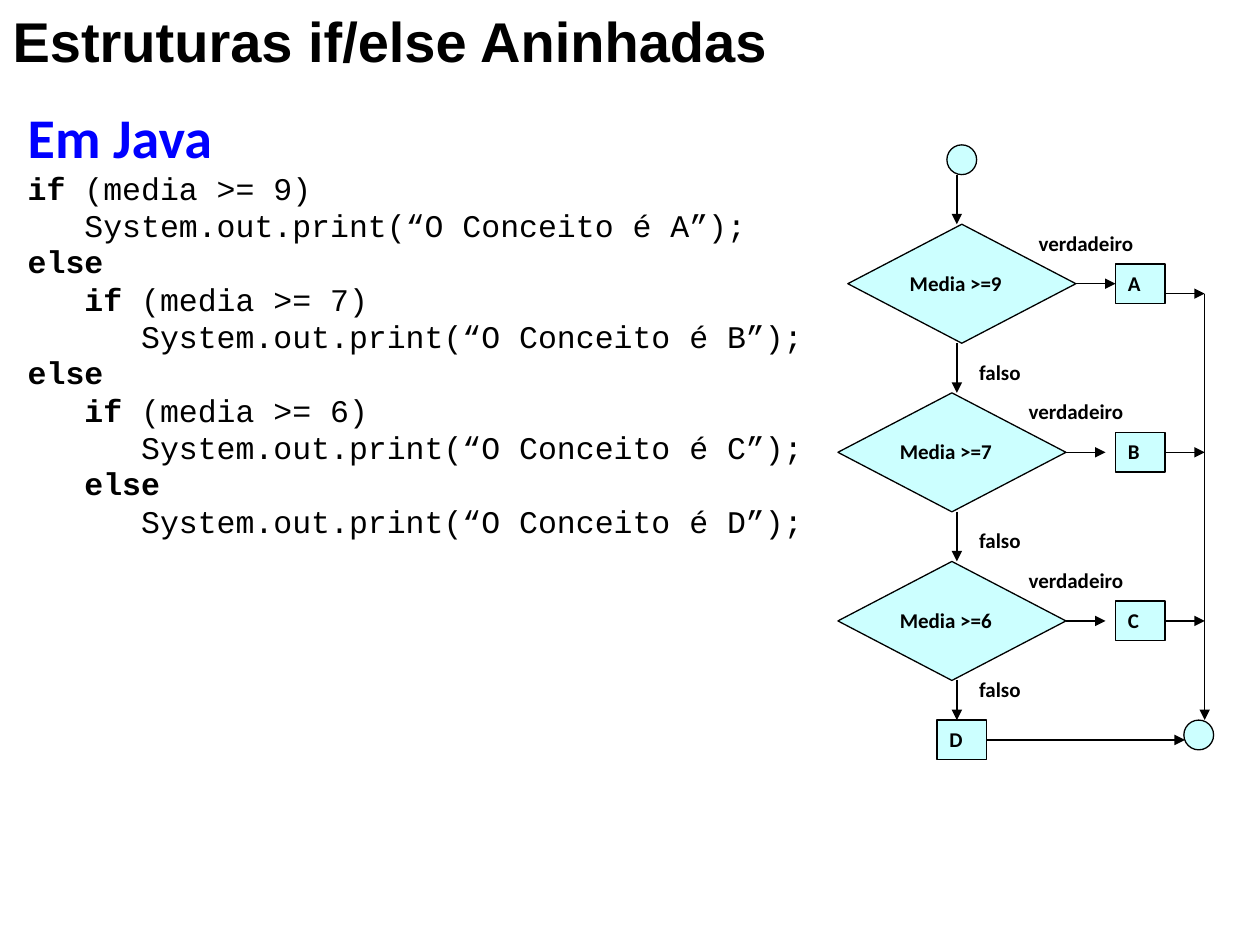
from lxml import etree
from pptx import Presentation
from pptx.dml.color import RGBColor
from pptx.enum import shapes, text
from pptx.oxml import ns
from pptx.util import Inches, Pt

COLORS = {"ink": "000000", "heading": "0000FF", "node": "CCFFFF"}
COLUMNS, ROWS = 38, 62
CODE = [
    (0, "if", " (media >= 9)"),
    (1, "", "System.out.print(“O Conceito é A”);"),
    (0, "else", ""),
    (1, "if", " (media >= 7)"),
    (2, "", "System.out.print(“O Conceito é B”);"),
    (0, "else", ""),
    (1, "if", " (media >= 6)"),
    (2, "", "System.out.print(“O Conceito é C”);"),
    (1, "else", ""),
    (2, "", "System.out.print(“O Conceito é D”);"),
]
DECISIONS = [
    {"test": "Media >=9", "grade": "A", "top": 8, "shift": 1, "exit": 7, "gap": 5, "no": 13},
    {"test": "Media >=7", "grade": "B", "top": 25, "shift": 0, "exit": 6, "gap": 5, "no": 13},
    {"test": "Media >=6", "grade": "C", "top": 42, "shift": 0, "exit": 6, "gap": 4, "no": 11},
]


def rgb(name):
    return RGBColor.from_string(COLORS[name])


def style(font, face, size, color="ink", bold=True):
    font.name, font.size, font.bold = face, Pt(size), bold
    font.color.rgb = rgb(color)


def place(shape, box):
    shape.left, shape.top, shape.width, shape.height = (Inches(side) for side in box)


def add_title(slide, box):
    title = slide.shapes.title
    place(title, box)
    frame = title.text_frame
    frame.text = "Estruturas if/else Aninhadas"
    frame.auto_size = text.MSO_AUTO_SIZE.NONE
    line = frame.paragraphs[0]
    line.alignment = text.PP_ALIGN.LEFT
    style(line.runs[0].font, "Arial", 32)


def format_line(line, level, before):
    props = line._p.get_or_add_pPr()
    props.set("marL", str(Inches(0.45 * level)))
    props.set("indent", "0")
    line.space_before = Pt(before)
    etree.SubElement(props, ns.qn("a:buNone"))


def add_code(slide, box):
    body = slide.placeholders[1]
    place(body, box)
    frame = body.text_frame
    frame.auto_size = text.MSO_AUTO_SIZE.NONE
    frame.text = "Em Java"
    heading = frame.paragraphs[0]
    format_line(heading, 0, 2)
    style(heading.runs[0].font, "Calibri", 32, "heading")
    for level, keyword, rest in CODE:
        line = frame.add_paragraph()
        line.line_spacing = 0.9
        format_line(line, level, 1.1 if keyword == "else" else 2)
        for words, bold in ((keyword, True), (rest, False)):
            if words:
                run = line.add_run()
                run.text = words
                style(run.font, "Courier New", 18, bold=bold)


def add_flowchart(slide, box):
    left, top, width, height = box
    kinds = shapes.MSO_SHAPE

    def at(column, row):
        return Inches(left + width * column / COLUMNS), Inches(top + height * row / ROWS)

    def size(columns, rows):
        return Inches(width * columns / COLUMNS), Inches(height * rows / ROWS)

    def write(shape, words):
        frame = shape.text_frame
        frame.text = words
        frame.word_wrap = True
        frame.vertical_anchor = text.MSO_ANCHOR.TOP
        frame.paragraphs[0].alignment = text.PP_ALIGN.LEFT
        style(frame.paragraphs[0].runs[0].font, "Calibri", 12)

    def node(kind, column, row, columns, rows, words=""):
        shape = slide.shapes.add_shape(kind, *at(column, row), *size(columns, rows))
        shape.shadow.inherit = False
        shape.fill.solid()
        shape.fill.fore_color.rgb = rgb("node")
        shape.line.color.rgb = rgb("ink")
        shape.line.width = Pt(0.75)
        if words:
            write(shape, words)

    def label(words, column, row, columns):
        write(slide.shapes.add_textbox(*at(column, row), *size(columns, 4)), words)

    def arrow(start, end):
        link = slide.shapes.add_connector(
            shapes.MSO_CONNECTOR.STRAIGHT, *at(*start), *at(*end))
        link.line.color.rgb = rgb("ink")
        link.line.width = Pt(0.75)
        etree.SubElement(link.line._get_or_add_ln(), ns.qn("a:tailEnd"), type="triangle")
        etree.SubElement(link._element.spPr, ns.qn("a:effectLst"))

    trunk, grades, merge, end = 12, 28, 37, 58
    node(kinds.FLOWCHART_CONNECTOR, 11, 0, 3, 3)
    arrow((trunk, 3), (trunk, DECISIONS[0]["top"]))
    for step in DECISIONS:
        row, shift = step["top"], step["shift"]
        middle, bottom, right = row + 6, row + 12, shift + 23
        node(kinds.FLOWCHART_DECISION, shift, row, 23, 12)
        label(step["test"], shift + 5, row + 4, 14)
        label("verdadeiro", shift + 18, row, 15)
        label("falso", 13, row + step["no"], 8)
        node(kinds.RECTANGLE, grades, row + 4, 5, 4, step["grade"])
        arrow((right, middle), (right + 4, middle))
        arrow((grades + 5, row + step["exit"]), (merge, row + step["exit"]))
        arrow((trunk, bottom), (trunk, bottom + step["gap"]))
    node(kinds.RECTANGLE, 10, end, 5, 4, "D")
    node(kinds.FLOWCHART_CONNECTOR, 34.9, end, 3, 3)
    arrow((15, end + 2), (35, end + 2))
    arrow((merge, DECISIONS[0]["top"] + DECISIONS[0]["exit"]), (merge, end))


def main():
    deck = Presentation()
    deck.slide_width, deck.slide_height = Inches(10), Inches(7.5)
    slide = deck.slides.add_slide(deck.slide_layouts[1])
    add_title(slide, (0, 0, 10, 0.64))
    add_code(slide, (0.12, 0.76, 6.46, 3.55))
    add_flowchart(slide, (6.65, 1.15, 2.99, 4.88))
    deck.save("out.pptx")


if __name__ == "__main__":
    main()
